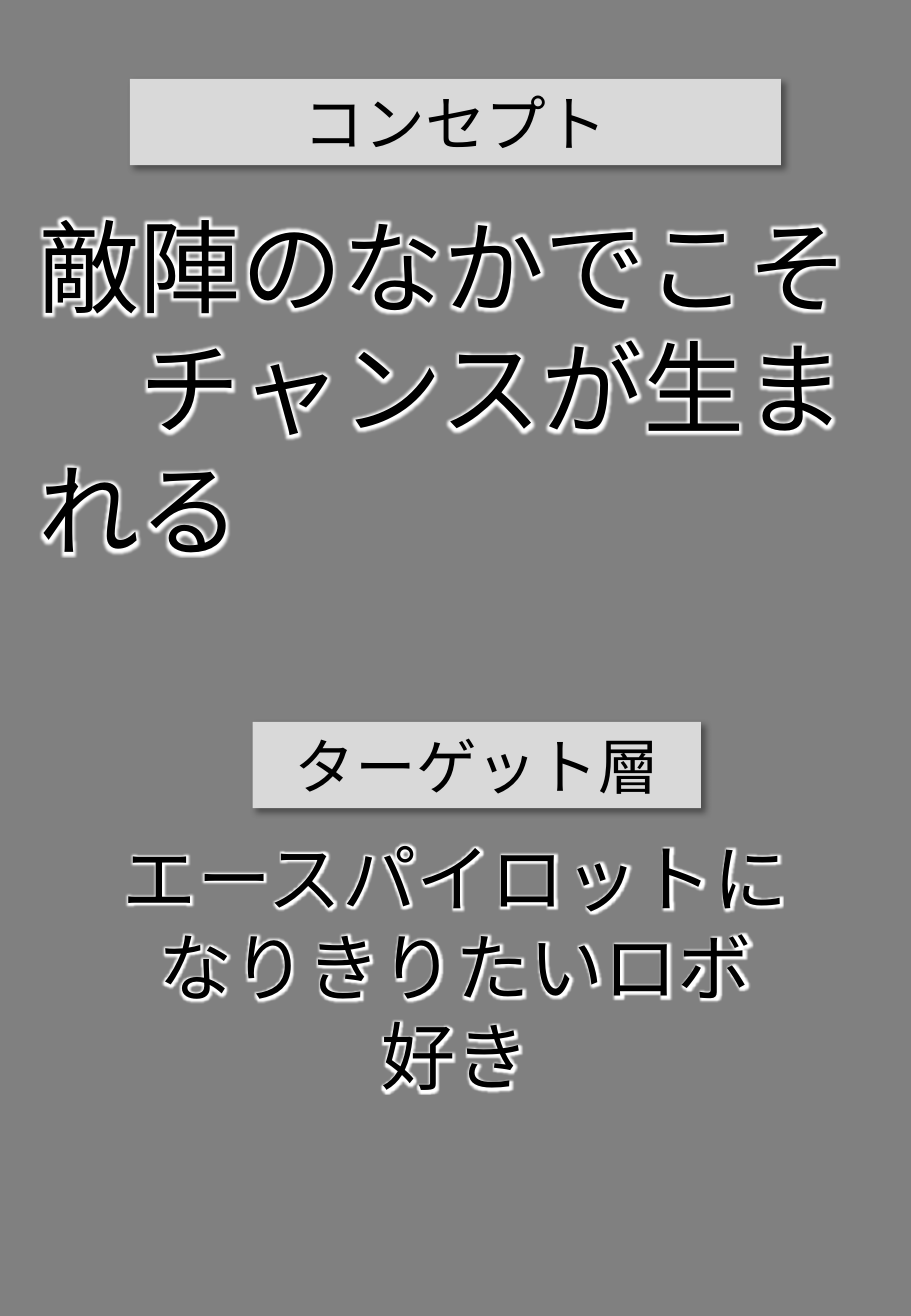
from lxml import etree
from pptx import Presentation
from pptx import util as u
from pptx.dml.color import RGBColor
from pptx.enum import shapes, text
from pptx.oxml import parse_xml
from pptx.oxml.ns import qn

COLORS = {"back": "808080", "label": "D9D9D9", "ink": "000000", "glow": "FFFFFF"}
FONT = "Noto Sans CJK JP"
NS = 'xmlns:a="http://schemas.openxmlformats.org/drawingml/2006/main"'


def color(name):
    return RGBColor.from_string(COLORS[name])


class Page:
    def __init__(self, deck):
        self.slide = deck.slides.add_slide(deck.slide_layouts[6])
        fill = self.slide.background.fill
        fill.solid()
        fill.fore_color.rgb = color("back")

    def letter(self, shape, lines, size, align):
        frame = shape.text_frame
        frame.word_wrap = True
        frame.auto_size = text.MSO_AUTO_SIZE.SHAPE_TO_FIT_TEXT
        frame.text = "\n".join(lines)
        for para in frame.paragraphs:
            para.alignment = align
            font = para.font
            font.size = u.Pt(size)
            font.name = FONT
            font.color.rgb = color("ink")
            props = para._p.pPr.find(qn("a:defRPr"))
            etree.SubElement(props, qn("a:ea")).set("typeface", FONT)
        return frame

    def label(self, line, left, top, width):
        box = self.slide.shapes.add_shape(
            shapes.MSO_SHAPE.RECTANGLE,
            u.Inches(left), u.Inches(top), u.Inches(width), u.Inches(0.71))
        box.fill.solid()
        box.fill.fore_color.rgb = color("label")
        box.line.fill.background()
        # Soft shadow down to the right
        box._element.spPr.append(parse_xml(
            f'<a:effectLst {NS}><a:outerShdw blurRad="50800" dist="38100" '
            f'dir="2700000" algn="tl" rotWithShape="0"><a:srgbClr val="{COLORS["ink"]}">'
            '<a:alpha val="40000"/></a:srgbClr></a:outerShdw></a:effectLst>'))
        frame = self.letter(box, [line], 36, text.PP_ALIGN.CENTER)
        frame.vertical_anchor = text.MSO_ANCHOR.MIDDLE

    def body(self, lines, left, top, width, height, size, align):
        box = self.slide.shapes.add_textbox(
            u.Inches(left), u.Inches(top), u.Inches(width), u.Inches(height))
        frame = self.letter(box, lines, size, align)
        # White glow around the letters
        for para in frame.paragraphs:
            for run in para.runs:
                run._r.get_or_add_rPr().append(parse_xml(
                    f'<a:effectLst {NS}><a:glow rad="63500">'
                    f'<a:srgbClr val="{COLORS["glow"]}"/></a:glow></a:effectLst>'))
        return frame


def main():
    deck = Presentation()
    deck.slide_width, deck.slide_height = u.Inches(7.5), u.Inches(10.83)
    page = Page(deck)

    # Concept
    page.label("コンセプト", 1.07, 0.65, 5.36)
    frame = page.body(["敵陣のなかでこそ", "チャンスが生まれる"],
                      0.22, 1.63, 7.41, 2.12, 60, text.PP_ALIGN.LEFT)
    # Second line starts one letter in
    props = frame.paragraphs[1]._p.pPr
    props.set("marL", "0")
    props.set("indent", str(u.Pt(60)))

    # Target group
    page.label("ターゲット層", 2.08, 5.94, 3.69)
    page.body(["エースパイロットに", "なりきりたいロボ好き"],
              0.9, 6.8, 5.7, 1.58, 44, text.PP_ALIGN.CENTER)

    deck.save("out.pptx")


if __name__ == "__main__":
    main()
